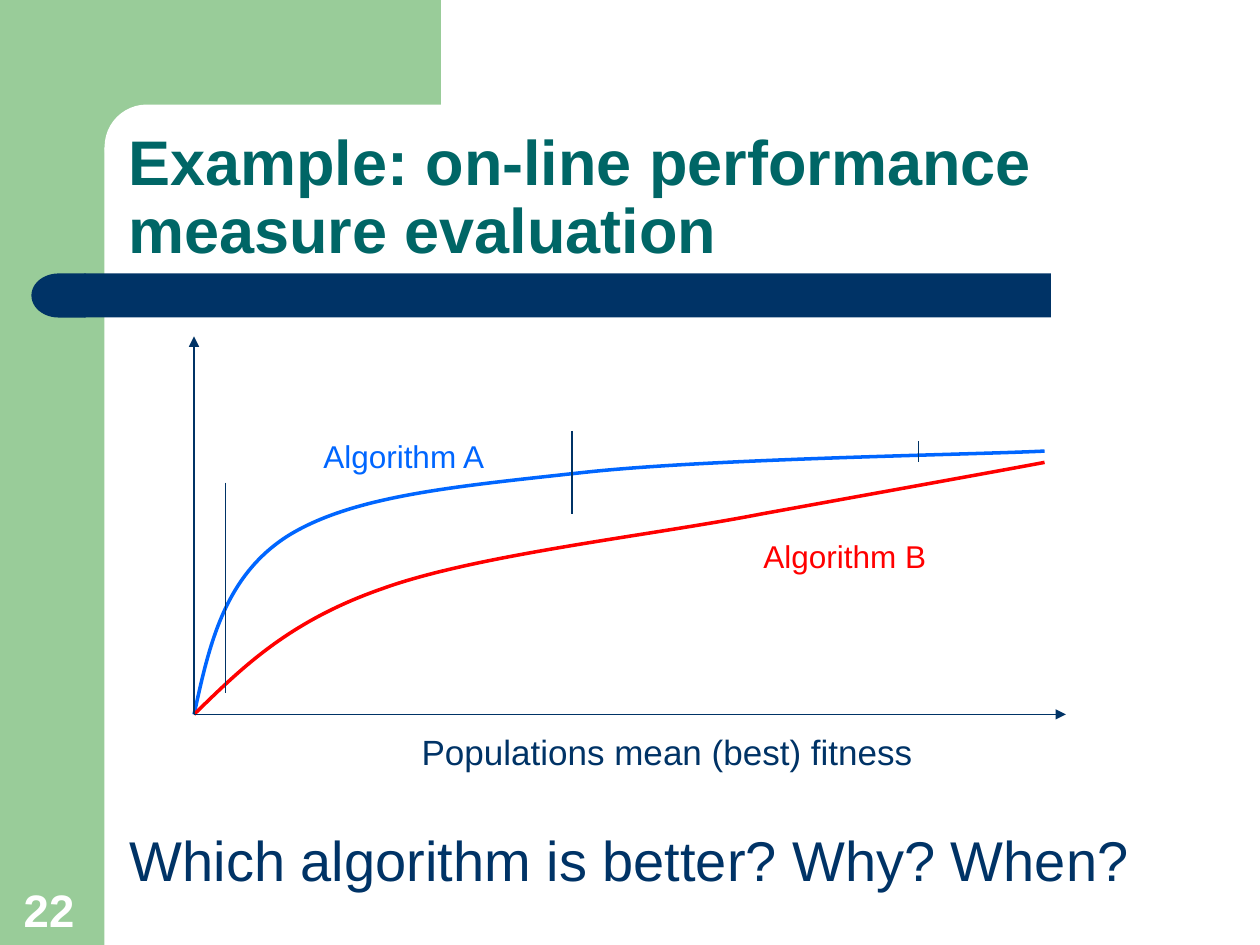
from lxml import etree
from pptx import Presentation
from pptx.dml.color import RGBColor
from pptx.enum.shapes import MSO_CONNECTOR, MSO_SHAPE
from pptx.enum.text import MSO_ANCHOR, PP_ALIGN
from pptx.oxml.ns import qn
from pptx.util import Inches, Pt

RECTANGLE, ROUNDED, DELAY = (
    MSO_SHAPE.RECTANGLE, MSO_SHAPE.ROUNDED_RECTANGLE, MSO_SHAPE.FLOWCHART_DELAY)
STRAIGHT = MSO_CONNECTOR.STRAIGHT
TOP, BOTTOM = MSO_ANCHOR.TOP, MSO_ANCHOR.BOTTOM
LEFT, CENTER = PP_ALIGN.LEFT, PP_ALIGN.CENTER

GREEN = RGBColor(0x99, 0xCC, 0x99)
NAVY = RGBColor(0x00, 0x33, 0x66)
TEAL = RGBColor(0x00, 0x66, 0x66)
BLUE = RGBColor(0x00, 0x66, 0xFF)
RED = RGBColor(0xFF, 0x00, 0x00)
WHITE = RGBColor(0xFF, 0xFF, 0xFF)

ORIGIN = (1.54, 5.67)

# Bezier points after the origin: two controls and an end for each segment
CURVE_A = [(1.66, 5.12), (1.78, 4.57), (2.29, 4.25),
           (2.81, 3.93), (3.63, 3.86), (4.63, 3.75),
           (5.63, 3.64), (7.68, 3.61), (8.29, 3.58)]
CURVE_B = [(1.92, 5.3), (2.29, 4.93), (3.04, 4.67),
           (3.79, 4.4), (5.17, 4.25), (6.04, 4.08),
           (6.92, 3.92), (7.92, 3.74), (8.29, 3.67)]


def add_block(page, kind, left, top, width, height, color):
    block = page.shapes.add_shape(
        kind, Inches(left), Inches(top), Inches(width), Inches(height))
    block.shadow.inherit = False
    block.fill.solid()
    block.fill.fore_color.rgb = color
    block.line.fill.background()
    return block


def add_text(page, text, left, top, width, height, size, color,
             align=CENTER, anchor=TOP, bold=False, wrap=True, spacing=None):
    box = page.shapes.add_textbox(
        Inches(left), Inches(top), Inches(width), Inches(height))
    frame = box.text_frame
    frame.text = text
    frame.word_wrap = wrap
    frame.vertical_anchor = anchor
    para = frame.paragraphs[0]
    para.alignment = align
    para.line_spacing = spacing
    font = para.runs[0].font
    font.name = "Arial"
    font.size = Pt(size)
    font.bold = bold
    font.color.rgb = color


def add_line(page, start, end, arrow=False):
    line = page.shapes.add_connector(
        STRAIGHT, *(Inches(value) for value in (*start, *end)))
    line.line.color.rgb = NAVY
    line.line.width = Pt(0.75)
    if arrow:
        outline = line.line._get_or_add_ln()
        etree.SubElement(outline, qn("a:tailEnd"), type="triangle")
    etree.SubElement(line._element.spPr, qn("a:effectLst"))


def add_curve(page, points, color):
    builder = page.shapes.build_freeform(
        Inches(ORIGIN[0]), Inches(ORIGIN[1]))
    builder.add_line_segments(
        [(Inches(x), Inches(y)) for x, y in points], close=False)
    curve = builder.convert_to_shape()
    curve.shadow.inherit = False
    curve.fill.background()
    curve.line.color.rgb = color
    curve.line.width = Pt(2)
    # Join every three straight steps into one Bezier segment
    steps = list(curve._element.iter(qn("a:lnTo")))
    outline = steps[0].getparent()
    for index in range(0, len(steps), 3):
        segment = etree.SubElement(outline, qn("a:cubicBezTo"))
        for step in steps[index:index + 3]:
            segment.append(step[0])
            outline.remove(step)


def add_frame(page):
    # Green side band and top corner, with a white rounded cut-out
    add_block(page, RECTANGLE, 0, 0, 0.83, 7.5, GREEN)
    add_block(page, RECTANGLE, 0.75, 0, 2.75, 1.17, GREEN)
    cutout = add_block(page, ROUNDED, 0.83, 0.83, 5.58, 0.67, WHITE)
    cutout.adjustments[0] = 0.5
    # Navy title bar with a round left end
    add_block(page, RECTANGLE, 0.67, 2.17, 7.67, 0.35, NAVY)
    bar_end = add_block(page, DELAY, 0.25, 2.17, 0.43, 0.35, NAVY)
    bar_end._element.spPr.xfrm.set("flipH", "1")


def add_diagram(page):
    add_curve(page, CURVE_A, BLUE)
    add_curve(page, CURVE_B, RED)
    # Axes
    for end in ((8.46, ORIGIN[1]), (ORIGIN[0], 2.67)):
        add_line(page, ORIGIN, end, arrow=True)
    # Gaps between the curves at three moments
    for x, top, bottom in ((1.79, 3.83, 5.5), (4.54, 3.42, 4.08),
                           (7.29, 3.5, 3.67)):
        add_line(page, (x, top), (x, bottom))
    # Curve labels
    for text, left, top, color in (("Algorithm A", 2.46, 3.42, BLUE),
                                   ("Algorithm B", 5.96, 4.21, RED)):
        add_text(page, text, left, top, 1.49, 0.4, 18, color, wrap=False)


def main():
    deck = Presentation()
    deck.slide_width, deck.slide_height = Inches(10), Inches(7.5)
    page = deck.slides.add_slide(deck.slide_layouts[6])
    add_frame(page)
    add_text(page, "Example: on-line performance measure evaluation",
             0.92, 0.92, 8.75, 1.25, 36, TEAL,
             align=LEFT, anchor=BOTTOM, bold=True, spacing=0.9)
    add_diagram(page)
    add_text(page, "Populations mean (best) fitness",
             0.92, 5.75, 8.75, 0.53, 20, NAVY)
    add_text(page, "Which algorithm is better? Why? When?",
             0.93, 6.5, 8.14, 0.64, 32, NAVY, wrap=False)
    # Page number
    add_text(page, "22", 0.09, 6.94, 0.64, 0.54, 26, WHITE,
             align=LEFT, anchor=BOTTOM, bold=True)
    deck.save("out.pptx")


if __name__ == "__main__":
    main()
